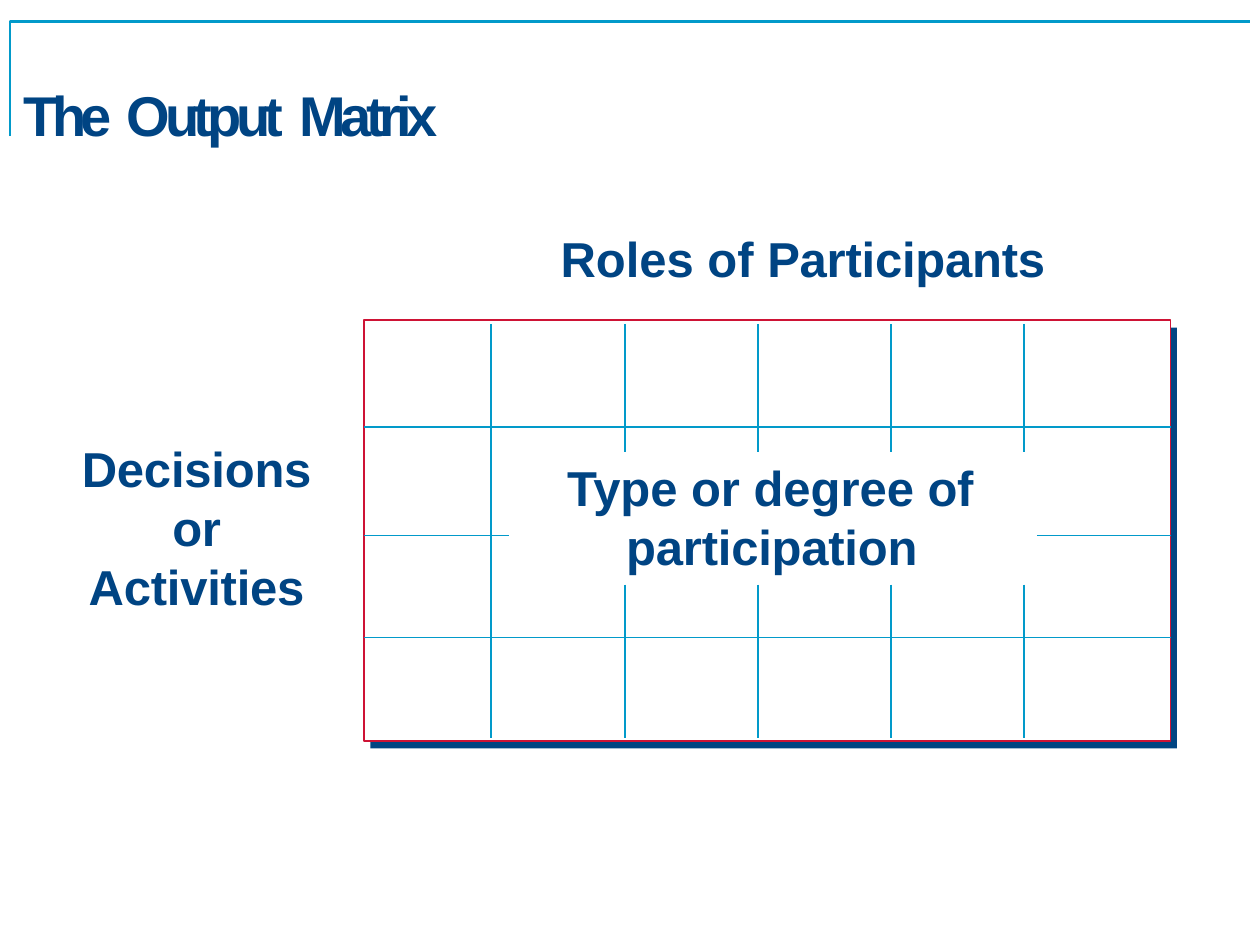
from dataclasses import dataclass

from pptx import Presentation
from pptx.dml.color import RGBColor
from pptx.enum import shapes, text
from pptx.util import Inches, Pt


@dataclass(frozen=True)
class Theme:
    font: str = "Arial"
    navy: RGBColor = RGBColor(0x00, 0x44, 0x83)
    shadow: RGBColor = RGBColor(0x01, 0x45, 0x82)
    teal: RGBColor = RGBColor(0x02, 0x9A, 0xCA)
    red: RGBColor = RGBColor(0xCE, 0x13, 0x35)
    white: RGBColor = RGBColor(0xFF, 0xFF, 0xFF)
    title_size: int = 32
    label_size: int = 28


theme = Theme()
deck = Presentation()
deck.slide_width, deck.slide_height = Inches(10), Inches(7.5)
page = deck.slides.add_slide(deck.slide_layouts[5])


def write(box, runs, size, top_inset, space_before, align, margin=0.01, indent=0):
    """Fill a box with one paragraph of (wording, letter spacing in points) runs."""
    frame = box.text_frame
    frame.word_wrap = True
    frame.auto_size = text.MSO_AUTO_SIZE.SHAPE_TO_FIT_TEXT
    frame.vertical_anchor = text.MSO_ANCHOR.TOP
    frame.margin_left = frame.margin_right = frame.margin_bottom = 0
    frame.margin_top = Inches(top_inset)
    para = frame.paragraphs[0]
    para.alignment = align
    para.space_before = Pt(space_before)
    properties = para._p.get_or_add_pPr()
    properties.set("marL", str(Inches(margin)))
    properties.set("indent", str(Inches(indent)))
    for wording, spacing in runs:
        span = para.add_run()
        span.text = wording
        span.font.name = theme.font
        span.font.size = Pt(size)
        span.font.bold = True
        span.font.color.rgb = theme.navy
        span._r.get_or_add_rPr().set("spc", str(round(spacing * 100)))


def draw_lines(strokes, weight):
    """Draw one open outline from strokes, each a list of (x, y) points in inches."""
    strokes = [[(Inches(x), Inches(y)) for x, y in stroke] for stroke in strokes]
    builder = page.shapes.build_freeform(*strokes[0][0])
    for number, (start, *points) in enumerate(strokes):
        if number:
            builder.move_to(*start)
        builder.add_line_segments(points, close=False)
    outline = builder.convert_to_shape()
    outline.shadow.inherit = False
    outline.fill.background()
    outline.line.color.rgb = theme.teal
    outline.line.width = Pt(weight)


# Corner rule and title
draw_lines([[(0.08, 1.08), (0.08, 0.17), (9.92, 0.17)]], 1.5)

title = page.shapes.title
title.left, title.top = Inches(0.18), Inches(0.17)
title.width, title.height = Inches(9.37), Inches(1.03)
write(title, [("The", -3.5), (" ", 0), ("Output", -3.1), (" ", 0), ("Matrix", -3)],
      theme.title_size, 0.47, 0.9, text.PP_ALIGN.LEFT)

# Matrix panel over its offset shadow
left, top, width, height = 2.89, 2.54, 6.4, 3.34
right = left + width
for offset, fill, outline in [(0.05, theme.shadow, None), (0, theme.white, theme.red)]:
    panel = page.shapes.add_shape(
        shapes.MSO_SHAPE.RECTANGLE, Inches(left + offset), Inches(top + offset * 1.2),
        Inches(width), Inches(height))
    panel.shadow.inherit = False
    panel.fill.solid()
    panel.fill.fore_color.rgb = fill
    if outline is None:
        panel.line.fill.background()
    else:
        panel.line.color.rgb = outline
        panel.line.width = Pt(1)

# Grid, left open around the central label
grid_top, grid_bottom = 2.57, 5.86
gap_left, gap_top, gap_right, gap_bottom = 4.04, 3.59, 8.23, 4.64
second_column, last_column = 4.96, 8.13
column_pitch = (last_column - second_column) / 3
split_columns = []
for column in range(4):
    x = second_column + column * column_pitch
    split_columns += [[(x, gap_bottom), (x, grid_bottom)], [(x, grid_top), (x, gap_top)]]

grid = [
    [[(3.9, grid_top), (3.9, grid_bottom)]],
    split_columns,
    [[(left, 3.39), (right, 3.39)]],
    [[(left, 4.25), (gap_left, 4.25)], [(gap_right, 4.25), (right, 4.25)]],
    [[(left, 5.06), (right, 5.06)]],
]
for strokes in grid:
    draw_lines(strokes, 1)

# Labels: position, runs, alignment, margin, indent
labels = [
    ((4.44, 1.8, 3.9, 0.5), [("Roles of ", 0), ("Participants", -0.1)],
     text.PP_ALIGN.LEFT, 0.01, 0),
    ((0.62, 3.47, 1.87, 1.43), [("Decisions ", -0.1), ("or ", -0.2), ("Activities", -0.1)],
     text.PP_ALIGN.CENTER, 0.01, 0),
    ((4.49, 3.62, 3.29, 0.96),
     [("Type or degree ", 0), ("of ", -0.2), ("participation", -0.1)],
     text.PP_ALIGN.LEFT, 0.48, -0.47),
]
for place, runs, align, margin, indent in labels:
    label = page.shapes.add_textbox(*map(Inches, place))
    write(label, runs, theme.label_size, 0.01, 1, align, margin, indent)

deck.save("out.pptx")
